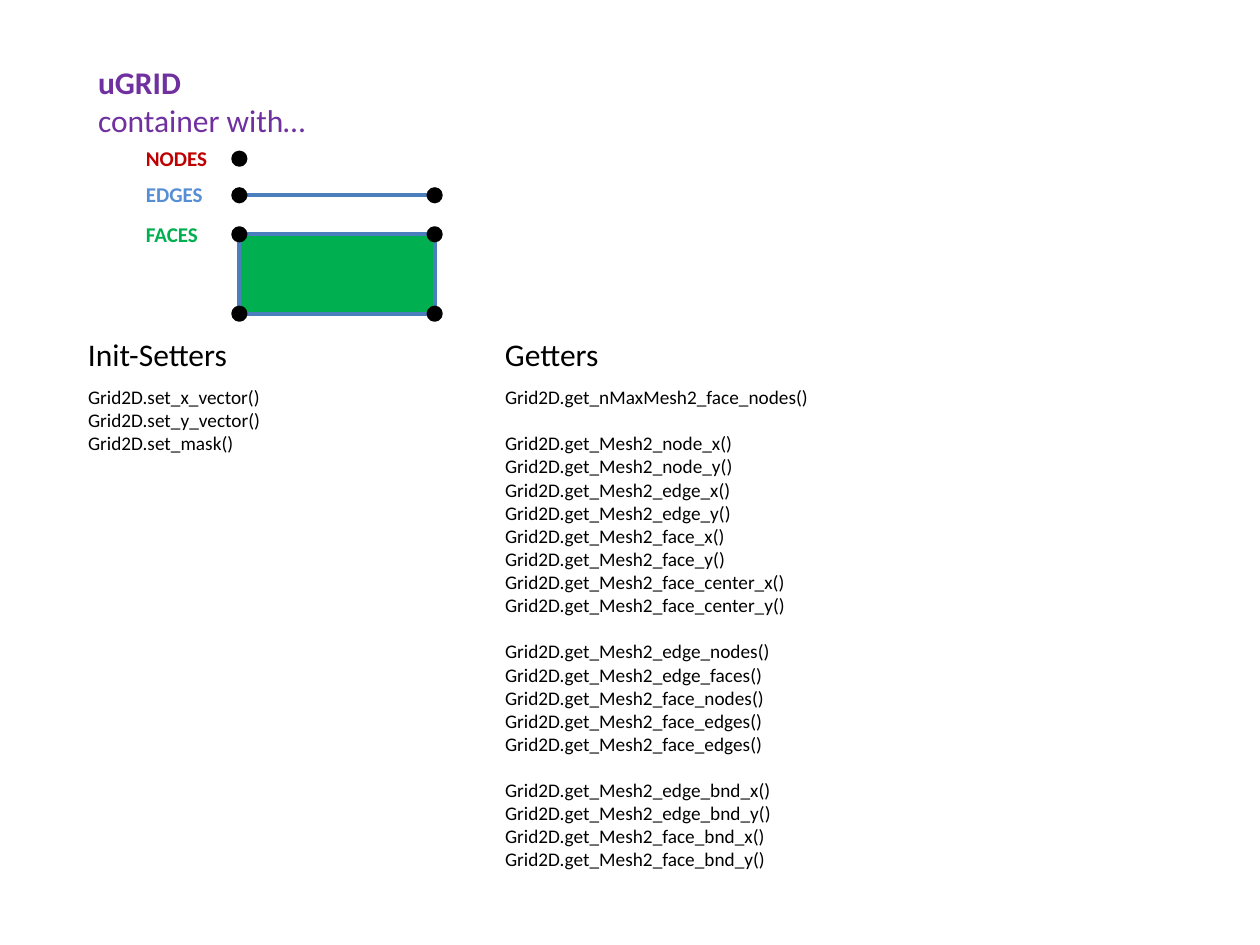
from lxml import etree
from pptx import Presentation
from pptx.dml.color import RGBColor
from pptx.enum import shapes, text
from pptx.oxml.ns import qn
from pptx.util import Inches, Pt

BLACK = RGBColor(0x00, 0x00, 0x00)
PURPLE = RGBColor(0x70, 0x30, 0xA0)
RED = RGBColor(0xC0, 0x00, 0x00)
LIGHT_BLUE = RGBColor(0x55, 0x8E, 0xD5)
EDGE_BLUE = RGBColor(0x4B, 0x7E, 0xBC)
GREEN = RGBColor(0x00, 0xB0, 0x50)

LEFT, RIGHT = 1.9, 3.45
NODE_Y, EDGE_Y, FACE_TOP, FACE_BOTTOM = 1.26, 1.55, 1.86, 2.49
NODE_SIZE = 0.1
CODE_LINE = 13.2

SETTERS = [["set_x_vector", "set_y_vector", "set_mask"]]
GETTERS = [
    ["get_nMaxMesh2_face_nodes"],
    [f"get_Mesh2_{part}_{axis}"
     for part in ("node", "edge", "face", "face_center") for axis in "xy"],
    [f"get_Mesh2_{pair}" for pair in
     ("edge_nodes", "edge_faces", "face_nodes", "face_edges", "face_edges")],
    [f"get_Mesh2_{part}_bnd_{axis}" for part in ("edge", "face") for axis in "xy"],
]


def add_text(page, lines, left, top, width, height, *, size, color=BLACK,
             bold_lines=(), gap_before=(), wrap=True):
    """Add one paragraph per line; the two index sets pick bold and spaced lines."""
    box = page.shapes.add_textbox(*map(Inches, (left, top, width, height)))
    frame = box.text_frame
    frame.word_wrap = wrap
    frame.auto_size = text.MSO_AUTO_SIZE.SHAPE_TO_FIT_TEXT
    for index, line in enumerate(lines):
        para = frame.add_paragraph() if index else frame.paragraphs[0]
        if index in gap_before:
            para.space_before = Pt(CODE_LINE)
        span = para.add_run()
        span.text = line
        span.font.name = "Calibri"
        span.font.size = Pt(size)
        span.font.bold = index in bold_lines
        span.font.color.rgb = color


def add_methods(page, title, groups, left, width, height):
    """Add a heading with its list of methods, groups set apart by one line."""
    add_text(page, [title], left, 2.61, 1.97, 0.4, size=18)
    lines, starts = [], set()
    for group in groups:
        if lines:
            starts.add(len(lines))
        lines += [f"Grid2D.{method}()" for method in group]
    add_text(page, lines, left, 3.01, width, height, size=11, gap_before=starts)


def add_edge(page, x1, y1, x2, y2):
    edge = page.shapes.add_connector(
        shapes.MSO_CONNECTOR.STRAIGHT, *map(Inches, (x1, y1, x2, y2)))
    edge.line.color.rgb = EDGE_BLUE
    edge.line.width = Pt(2.25)
    etree.SubElement(edge._element.spPr, qn("a:effectLst"))


def add_node(page, x, y):
    corner = (x - NODE_SIZE / 2, y - NODE_SIZE / 2)
    node = page.shapes.add_shape(
        shapes.MSO_SHAPE.OVAL, *map(Inches, (*corner, NODE_SIZE, NODE_SIZE)))
    node.shadow.inherit = False
    node.fill.solid()
    node.fill.fore_color.rgb = BLACK
    node.line.color.rgb = BLACK
    node.line.width = Pt(2)


def add_face(page):
    face = page.shapes.add_shape(
        shapes.MSO_SHAPE.RECTANGLE,
        *map(Inches, (LEFT, FACE_TOP, RIGHT - LEFT, FACE_BOTTOM - FACE_TOP)))
    face.shadow.inherit = False
    face.fill.solid()
    face.fill.fore_color.rgb = GREEN
    face.line.fill.background()


def add_grid_parts(page):
    add_face(page)
    for x in (LEFT, RIGHT):
        add_edge(page, x, FACE_BOTTOM, x, FACE_TOP)
    for y in (EDGE_Y, FACE_TOP, FACE_BOTTOM):
        add_edge(page, LEFT, y, RIGHT, y)
        for x in (LEFT, RIGHT):
            add_node(page, x, y)
    add_node(page, LEFT, NODE_Y)
    for label, top, width, color in (("NODES", 1.11, 0.69, RED),
                                     ("EDGES", 1.39, 0.66, LIGHT_BLUE),
                                     ("FACES", 1.71, 0.62, GREEN)):
        add_text(page, [label], 1.06, top, width, 0.3, size=12, color=color,
                 bold_lines={0}, wrap=False)


def main():
    deck = Presentation()
    deck.slide_width, deck.slide_height = Inches(10), Inches(7.5)
    page = deck.slides.add_slide(deck.slide_layouts[6])
    add_text(page, ["uGRID", "container with…"], 0.68, 0.45, 1.9, 0.71,
             size=18, color=PURPLE, bold_lines={0}, wrap=False)
    add_grid_parts(page)
    add_methods(page, "Init-Setters", SETTERS, 0.6, 3.31, 1.95)
    add_methods(page, "Getters", GETTERS, 3.91, 4.02, 4.17)
    deck.save("out.pptx")


if __name__ == "__main__":
    main()
